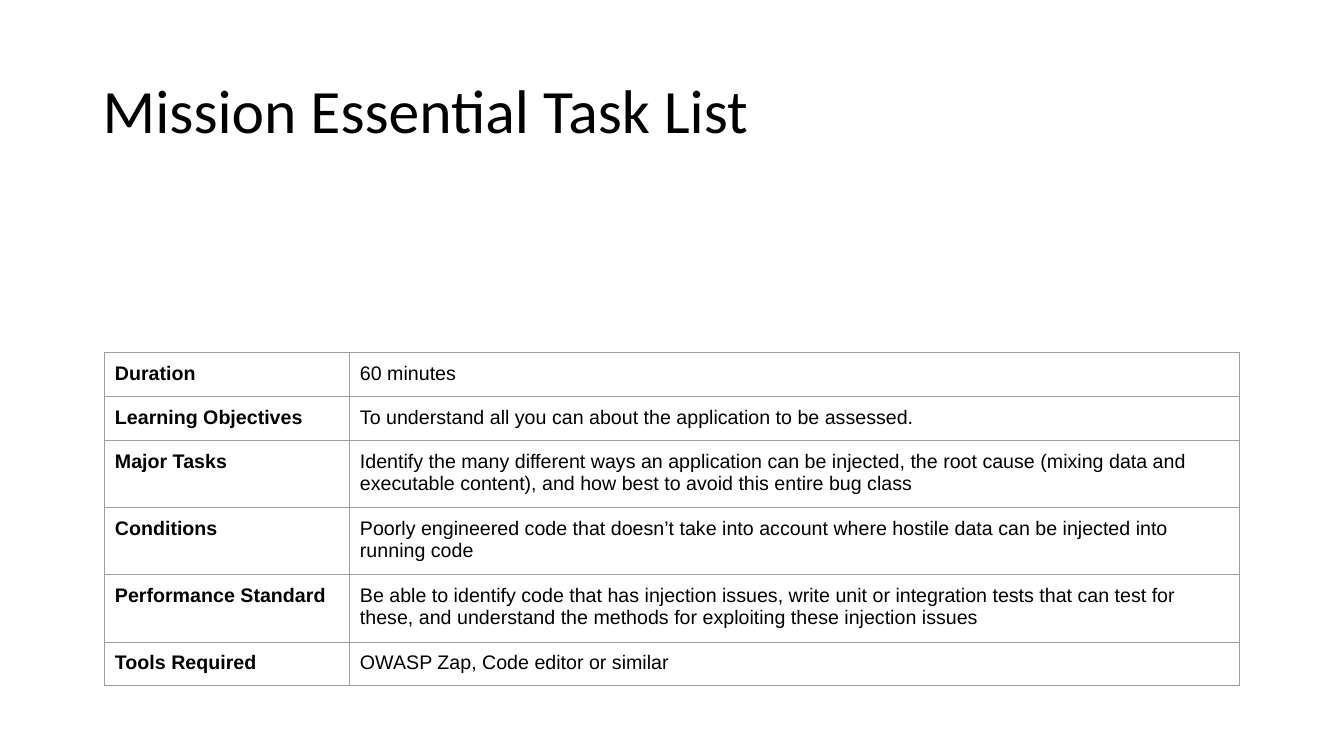
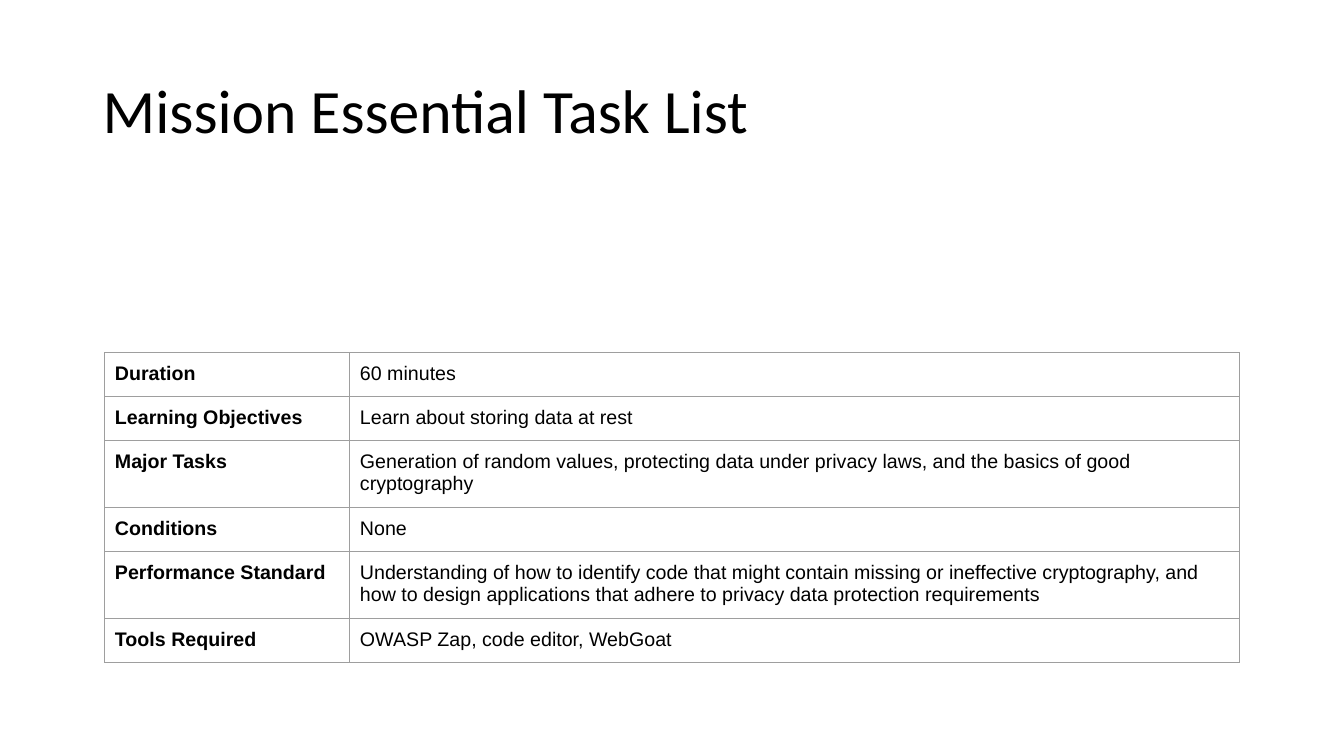
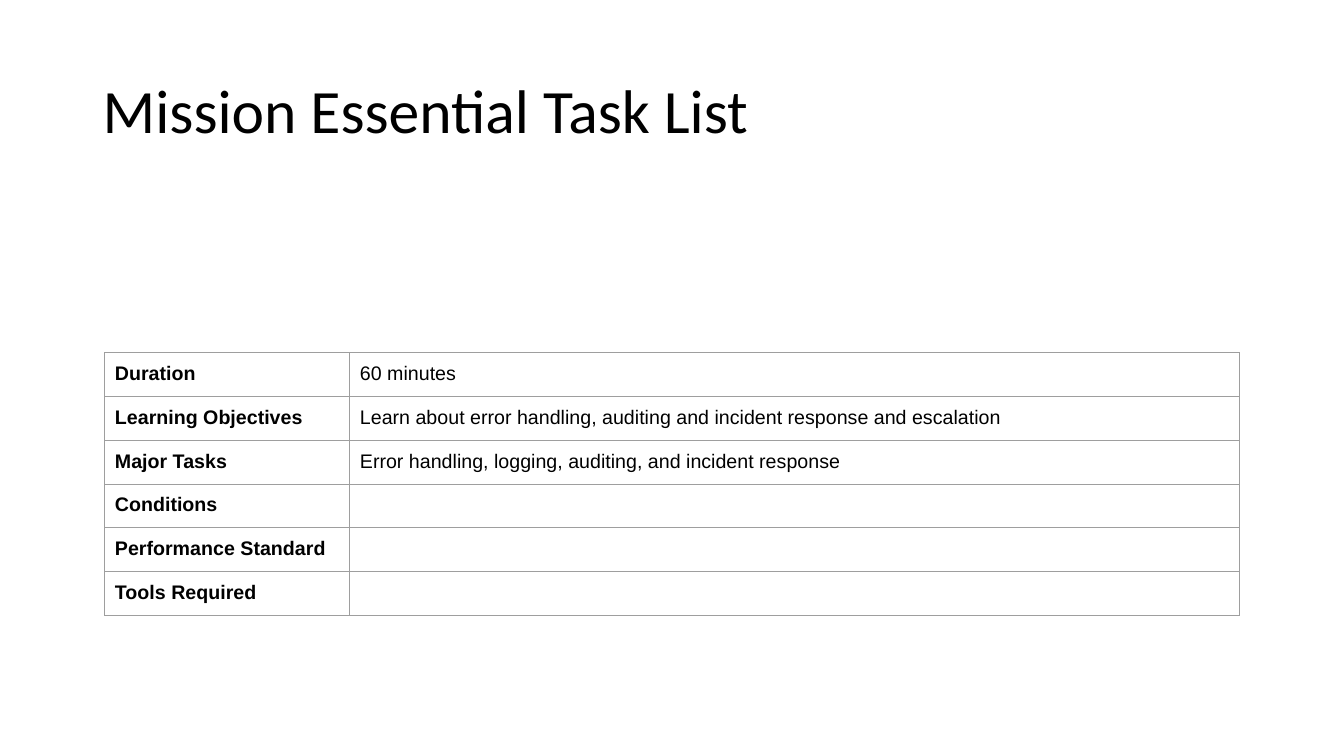
"""Build three task list slides, each with a title and a bordered two-column table."""

from dataclasses import dataclass

from lxml.etree import SubElement
from pptx import Presentation
from pptx.dml.color import RGBColor
from pptx.enum.text import MSO_ANCHOR
from pptx.oxml.ns import qn
from pptx.slide import Slide
from pptx.table import _Cell
from pptx.text.text import _Paragraph
from pptx.util import Inches, Pt


@dataclass(frozen=True)
class TextStyle:
    """Font, size in points and weight of a run."""

    font: str
    size: int
    bold: bool = False


@dataclass(frozen=True)
class Theme:
    """Colours, text styles and measures in inches shared by all slides."""

    text_colour: str = "000000"
    border_colour: str = "9E9E9E"
    border_points: float = 0.75
    title: TextStyle = TextStyle("Calibri", 44)
    label: TextStyle = TextStyle("Arial", 14, True)
    detail: TextStyle = TextStyle("Arial", 14)
    slide_size: tuple[float, float] = (13.33, 7.5)
    title_box: tuple[float, float, float, float] = (0.92, 0.4, 11.5, 1.45)
    table_origin: tuple[float, float] = (1.04, 3.5)
    column_widths: tuple[float, float] = (2.43, 8.82)
    row_height: float = 0.42
    inset: float = 0.1


@dataclass(frozen=True)
class TaskList:
    """Details of one lesson, in the order of the row labels."""

    duration: str
    objectives: str
    tasks: str
    conditions: str = ""
    standard: str = ""
    tools: str = ""

    def rows(self) -> list[tuple[str, str]]:
        """Pair each row label with its detail."""
        details = (self.duration, self.objectives, self.tasks,
                   self.conditions, self.standard, self.tools)
        return list(zip(ROW_LABELS, details))


THEME = Theme()
TITLE = "Mission Essential Task List"
ROW_LABELS = ("Duration", "Learning Objectives", "Major Tasks",
              "Conditions", "Performance Standard", "Tools Required")
TASK_LISTS = (
    TaskList(
        "60 minutes",
        "To understand all you can about the application to be assessed.",
        "Identify the many different ways an application can be injected, the root cause "
        "(mixing data and executable content), and how best to avoid this entire bug class",
        "Poorly engineered code that doesn’t take into account where hostile data can be "
        "injected into running code",
        "Be able to identify code that has injection issues, write unit or integration tests "
        "that can test for these, and understand the methods for exploiting these injection issues",
        "OWASP Zap, Code editor or similar",
    ),
    TaskList(
        "60 minutes",
        "Learn about storing data at rest",
        "Generation of random values, protecting data under privacy laws, and the basics of "
        "good cryptography",
        "None",
        "Understanding of how to identify code that might contain missing or ineffective "
        "cryptography, and how to design applications that adhere to privacy data protection "
        "requirements",
        "OWASP Zap, code editor, WebGoat",
    ),
    TaskList(
        "60 minutes",
        "Learn about error handling, auditing and incident response and escalation",
        "Error handling, logging, auditing, and incident response",
    ),
)


def add_run(paragraph: _Paragraph, text: str, style: TextStyle) -> None:
    """Append one styled run to a paragraph."""
    run = paragraph.add_run()
    run.text = text
    run.font.name = style.font
    run.font.size = Pt(style.size)
    run.font.bold = style.bold
    run.font.color.rgb = RGBColor.from_string(THEME.text_colour)


def add_title(slide: Slide) -> None:
    """Add the shared title to a slide."""
    box = slide.shapes.add_textbox(*map(Inches, THEME.title_box))
    frame = box.text_frame
    frame.word_wrap = True
    frame.vertical_anchor = MSO_ANCHOR.MIDDLE
    frame.margin_left = frame.margin_right = Inches(THEME.inset)
    frame.margin_top = frame.margin_bottom = Inches(THEME.inset)
    paragraph = frame.paragraphs[0]
    paragraph.line_spacing = 0.9
    add_run(paragraph, TITLE, THEME.title)


def add_borders(cell: _Cell) -> None:
    """Draw a thin line on all four sides of a cell."""
    properties = cell._tc.get_or_add_tcPr()
    for side in ("lnL", "lnR", "lnT", "lnB"):
        line = SubElement(properties, qn(f"a:{side}"), w=str(Pt(THEME.border_points)))
        fill = SubElement(line, qn("a:solidFill"))
        SubElement(fill, qn("a:srgbClr"), val=THEME.border_colour)


def fill_cell(cell: _Cell, text: str, style: TextStyle) -> None:
    """Give a cell its borders and, when there is any, its text."""
    add_borders(cell)
    cell.fill.background()
    if text:
        cell.margin_left = cell.margin_right = Inches(THEME.inset)
        cell.margin_top = cell.margin_bottom = Inches(THEME.inset)
        add_run(cell.text_frame.paragraphs[0], text, style)


def add_task_table(slide: Slide, task_list: TaskList) -> None:
    """Add the table of labels and details."""
    rows = task_list.rows()
    left, top = map(Inches, THEME.table_origin)
    width = Inches(sum(THEME.column_widths))
    height = Inches(THEME.row_height * len(rows))
    table = slide.shapes.add_table(
        len(rows), len(THEME.column_widths), left, top, width, height).table
    table.first_row = table.horz_banding = False
    for column, column_width in zip(table.columns, THEME.column_widths):
        column.width = Inches(column_width)
    for index, (label, detail) in enumerate(rows):
        table.rows[index].height = Inches(THEME.row_height)
        fill_cell(table.cell(index, 0), label, THEME.label)
        fill_cell(table.cell(index, 1), detail, THEME.detail)


def main() -> None:
    """Build and save the presentation."""
    presentation = Presentation()
    presentation.slide_width, presentation.slide_height = map(Inches, THEME.slide_size)
    blank_layout = presentation.slide_layouts[6]
    for task_list in TASK_LISTS:
        slide = presentation.slides.add_slide(blank_layout)
        add_title(slide)
        add_task_table(slide, task_list)
    presentation.save("out.pptx")


if __name__ == "__main__":
    main()
